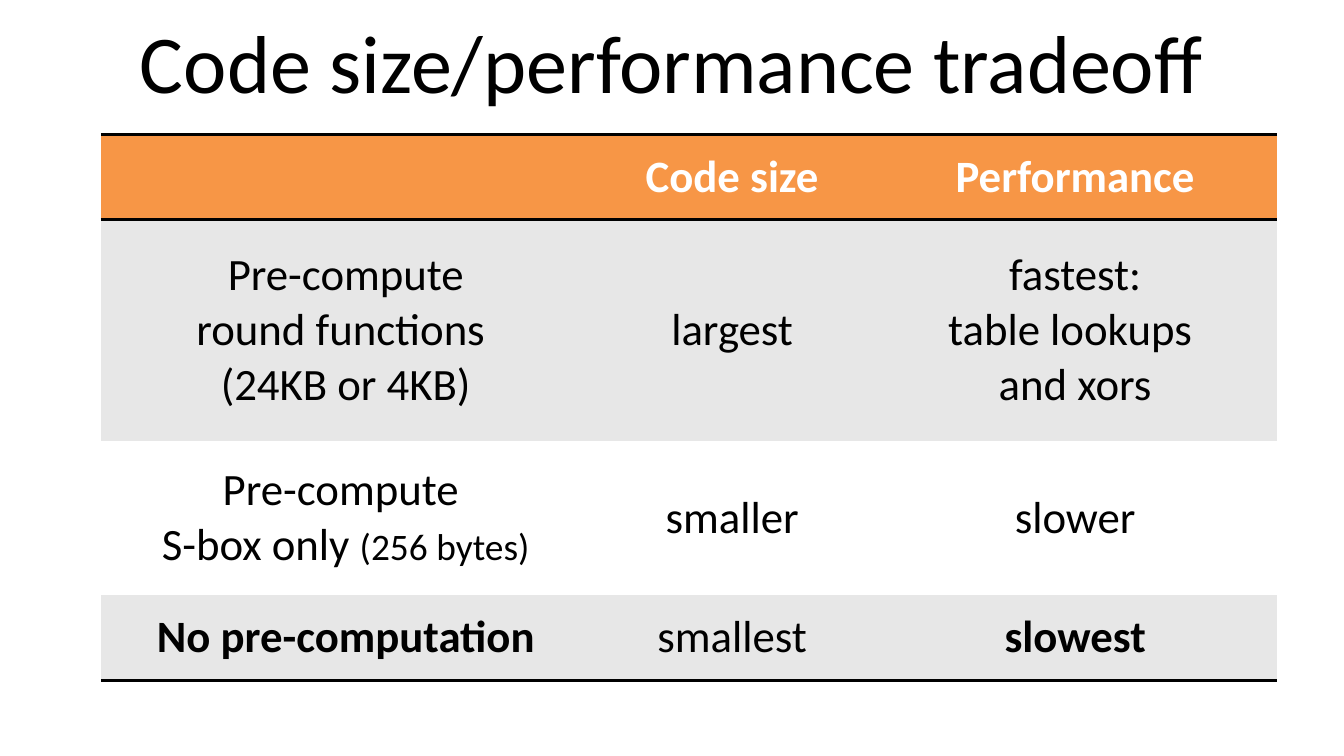
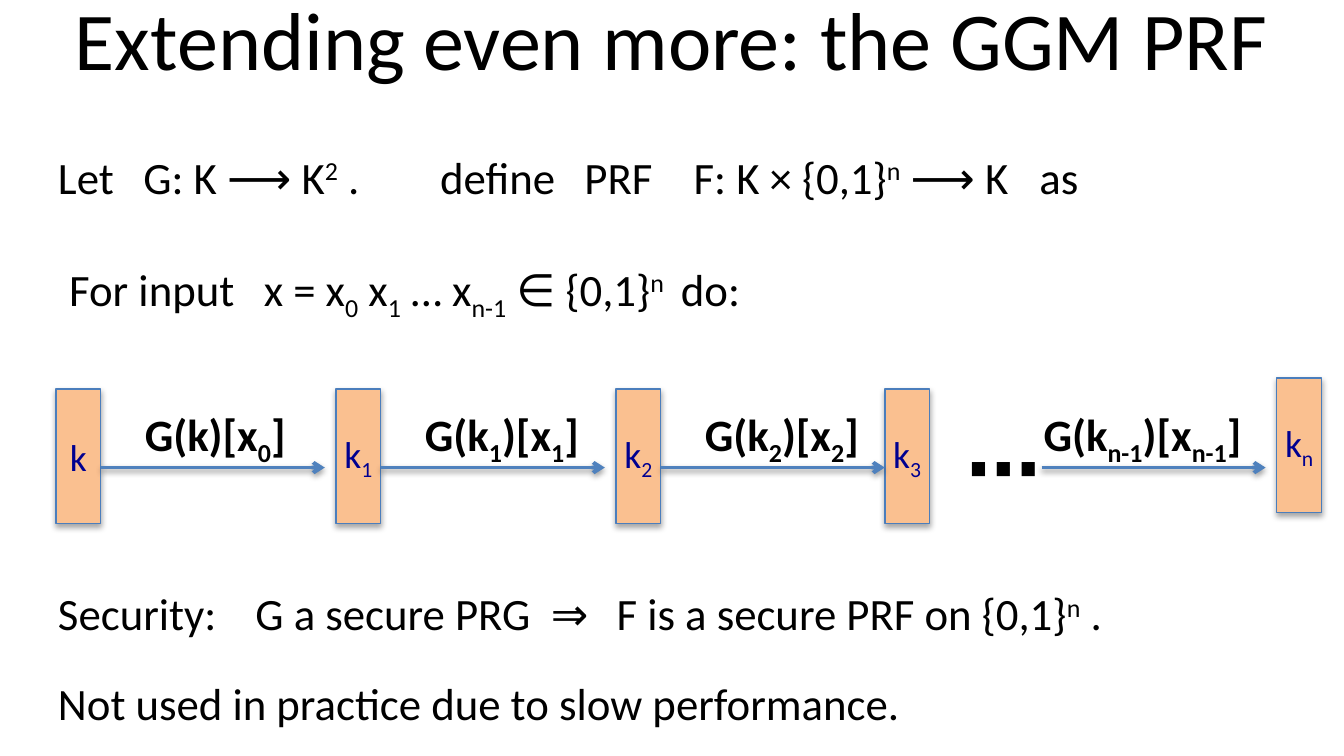
from lxml.etree import SubElement
from pptx import Presentation
from pptx.dml.color import RGBColor
from pptx.enum.shapes import MSO_CONNECTOR, MSO_SHAPE
from pptx.enum.text import MSO_ANCHOR, MSO_AUTO_SIZE, PP_ALIGN
from pptx.oxml.ns import qn
from pptx.util import Pt

PX = 9525
FONT = "Calibri"
COLORS = {
    "text": "000000", "white": "FFFFFF", "header": "F79646", "band": "E7E7E7",
    "key_fill": "FAC090", "key_line": "4B7EBC", "key_text": "000090", "arrow": "4F81BD",
}
BASELINES = {"^": "30000", "_": "-25000"}
RGB = {name: RGBColor.from_string(value) for name, value in COLORS.items()}


def write(paragraph, text, size=24, color="text", bold=False):
    for piece in text.split("|"):
        mark = piece[:1] if piece[:1] in ("^", "_", "~") else ""
        for number, line in enumerate(piece[len(mark):].split("\n")):
            if number:
                paragraph.add_line_break()
            if not line:
                continue
            run = paragraph.add_run()
            run.text = line
            run.font.name = FONT
            run.font.size = Pt(20 if mark == "~" else size)
            run.font.bold = bold
            run.font.color.rgb = RGB[color]
            if mark in BASELINES:
                run.font._element.set("baseline", BASELINES[mark])


def add_shadow(properties, distance, opacity):
    effects = properties.find(qn("a:effectLst"))
    if effects is None:
        effects = SubElement(properties, qn("a:effectLst"))
    shadow = SubElement(effects, qn("a:outerShdw"), blurRad="40000",
                        dist=str(distance), dir="5400000", rotWithShape="0")
    color = SubElement(shadow, qn("a:srgbClr"), val=COLORS["text"])
    SubElement(color, qn("a:alpha"), val=str(opacity))


presentation = Presentation()
presentation.slide_width = 960 * PX
presentation.slide_height = 540 * PX

titles = [
    ("Code size/performance tradeoff", 48, -2, 864),
    ("Extending even more: the GGM PRF", 24, -18, 912),
]
slides = []
for text, left, top, width in titles:
    slide = presentation.slides.add_slide(presentation.slide_layouts[5])
    title = slide.shapes.title
    title.left, title.top, title.width, title.height = left * PX, top * PX, width * PX, 90 * PX
    title.text_frame.auto_size = MSO_AUTO_SIZE.NONE
    title.text_frame.vertical_anchor = MSO_ANCHOR.MIDDLE
    paragraph = title.text_frame.paragraphs[0]
    paragraph.alignment = PP_ALIGN.CENTER
    write(paragraph, text, 44)
    slides.append(slide)
tradeoff_slide, ggm_slide = slides

rows = [
    (61, "header", [[], ["Code size"], ["Performance"]]),
    (158, "band", [["Pre-compute\nround functions \n(24KB or 4KB)"], ["largest"],
                   ["fastest:", "table lookups \nand xors"]]),
    (110, "white", [["Pre-compute \nS-box only |~(256 bytes)"], ["smaller"], ["slower"]]),
    (61, "band", [["No pre-computation"], ["smallest"], ["slowest"]]),
]
bold_texts = ("Code size", "Performance", "No pre-computation", "slowest")
ruled_edges = (0, 1, 4)
table = tradeoff_slide.shapes.add_table(4, 3, 72 * PX, 96 * PX, 840 * PX, 390 * PX).table
table.horz_banding = False
for column, width in zip(table.columns, (350, 202, 288)):
    column.width = width * PX
for row_index, (height, fill, cells) in enumerate(rows):
    table.rows[row_index].height = height * PX
    for column_index, texts in enumerate(cells):
        cell = table.cell(row_index, column_index)
        cell.vertical_anchor = MSO_ANCHOR.MIDDLE
        properties = cell._tc.get_or_add_tcPr()
        for side, edge in (("L", None), ("R", None), ("T", row_index), ("B", row_index + 1)):
            border = SubElement(properties, qn(f"a:ln{side}"), w=str(Pt(2)))
            if edge in ruled_edges:
                border_fill = SubElement(border, qn("a:solidFill"))
                SubElement(border_fill, qn("a:srgbClr"), val=COLORS["text"])
            else:
                SubElement(border, qn("a:noFill"))
        cell.fill.solid()
        cell.fill.fore_color.rgb = RGB[fill]
        for number, text in enumerate(texts):
            frame = cell.text_frame
            paragraph = frame.add_paragraph() if number else frame.paragraphs[0]
            paragraph.alignment = PP_ALIGN.CENTER
            write(paragraph, text, color="white" if fill == "header" else "text",
                  bold=text in bold_texts)

keys = [(40, 278, "k"), (240, 278, "k|_1"), (440, 278, "k|_2"),
        (632, 278, "k|_3"), (912, 270, "k|_n")]
for left, top, text in keys:
    key = ggm_slide.shapes.add_shape(
        MSO_SHAPE.RECTANGLE, left * PX, top * PX, 32 * PX, 96 * PX)
    key.fill.solid()
    key.fill.fore_color.rgb = RGB["key_fill"]
    key.line.color.rgb = RGB["key_line"]
    key.line.width = Pt(0.75)
    key.shadow.inherit = False
    add_shadow(key._element.spPr, 23000, 35000)
    frame = key.text_frame
    frame.margin_left = frame.margin_right = 0
    frame.vertical_anchor = MSO_ANCHOR.MIDDLE
    paragraph = frame.paragraphs[0]
    paragraph.alignment = PP_ALIGN.CENTER
    write(paragraph, text, 20, "key_text")

for left in (72, 272, 472, 744):
    arrow = ggm_slide.shapes.add_connector(
        MSO_CONNECTOR.STRAIGHT, left * PX, 334 * PX, (left + 160) * PX, 334 * PX)
    arrow.line.color.rgb = RGB["arrow"]
    arrow.line.width = Pt(2)
    SubElement(arrow.line._get_or_add_ln(), qn("a:tailEnd"), type="arrow")
    add_shadow(arrow._element.spPr, 20000, 38000)

texts = [
    (32, 102, 864, 96, "Let\tG: K ⟶ K|^2| .\tdefine\tPRF\tF: K × {0,1}|^n| ⟶ K\tas",
     24, False, (61, 273, 376, 454, 701)),
    (40, 182, 519, 48, "For input\tx = x|_0| x|_1| … x|_n-1| ∈ {0,1}|^n|\tdo:",
     24, False, (139, 437)),
    (94, 286, 122, 48, "G(k)[x|_0|]", 24, True, ()),
    (294, 286, 133, 48, "G(k|_1|)[x|_1|]", 24, True, ()),
    (494, 286, 133, 48, "G(k|_2|)[x|_2|]", 24, True, ()),
    (736, 286, 170, 48, "G(k|_n-1|)[x|_n-1|]", 24, True, ()),
    (681, 296, 46, 74, "⋯", 40, True, ()),
    (32, 414, 782, 48, "Security:\tG a secure PRG\t⇒\tF is a secure PRF on {0,1}|^n| .",
     24, False, (141, 352, 399)),
    (32, 478, 628, 48, "Not used in practice due to slow performance.", 24, False, ()),
]
for left, top, width, height, text, size, bold, stops in texts:
    box = ggm_slide.shapes.add_textbox(left * PX, top * PX, width * PX, height * PX)
    box.text_frame.word_wrap = bool(stops)
    paragraph = box.text_frame.paragraphs[0]
    if stops:
        tabs = SubElement(paragraph._p.get_or_add_pPr(), qn("a:tabLst"))
        for stop in stops:
            SubElement(tabs, qn("a:tab"), pos=str(stop * PX), algn="l")
    write(paragraph, text, size, bold=bold)

presentation.save("out.pptx")
